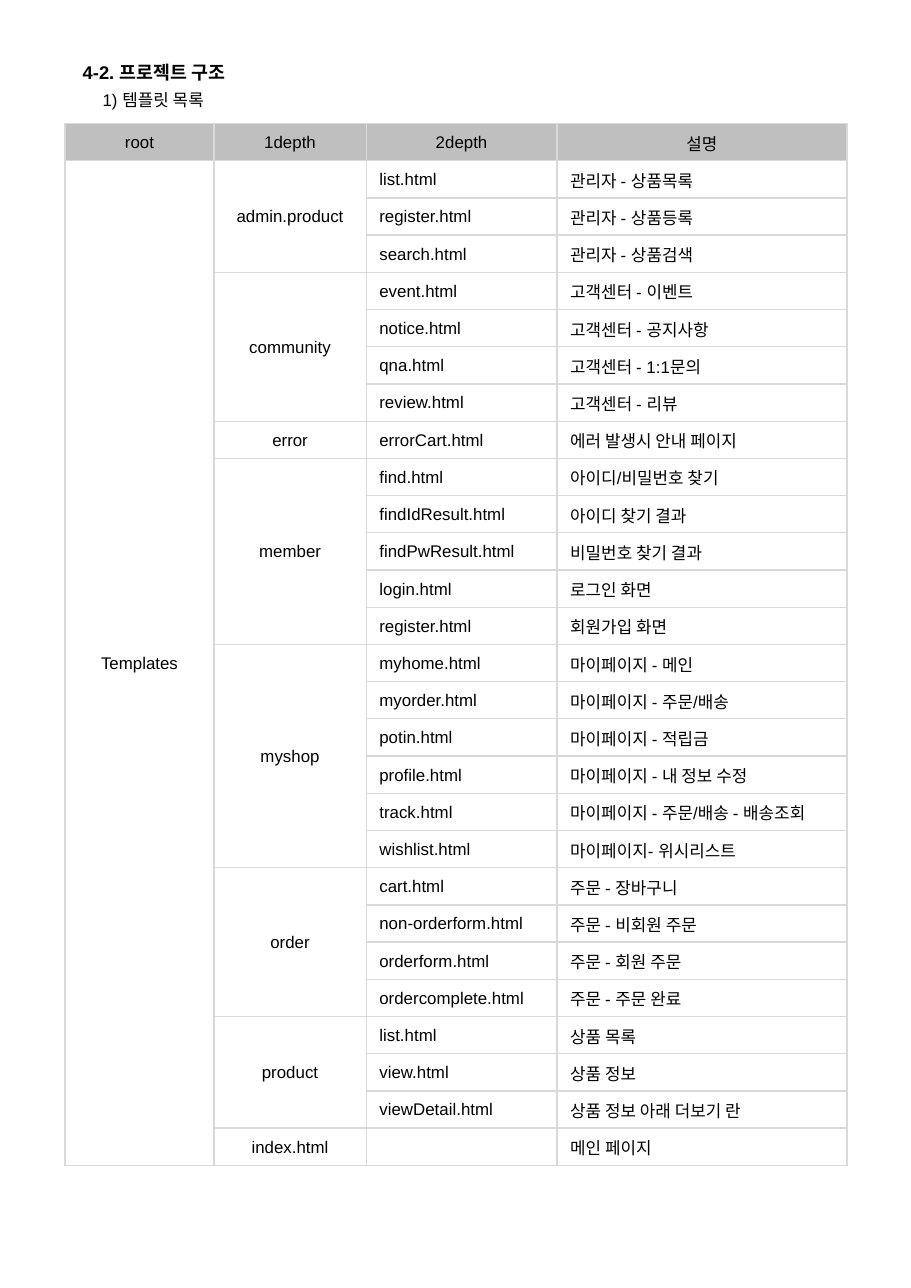
from pptx import Presentation
from pptx.dml.color import RGBColor
from pptx.enum.text import MSO_ANCHOR as ANCHOR, MSO_AUTO_SIZE as AUTO, PP_ALIGN as ALIGN
from pptx.oxml import parse_xml
from pptx.oxml.ns import nsdecls
from pptx.util import Inches, Pt

BLACK = RGBColor(0x00, 0x00, 0x00)
HEADER_GREY = RGBColor(0xBF, 0xBF, 0xBF)
BORDER_GREY = RGBColor(0xD9, 0xD9, 0xD9)

HEADER = ["root", "1depth", "2depth", "설명"]
COL_WIDTHS = [1.35, 1.38, 1.73, 2.63]
ROW_HEIGHT = 9.45 / 28
GROUPS = [
    ("admin.product", [
        ("list.html", "관리자 - 상품목록"),
        ("register.html", "관리자 - 상품등록"),
        ("search.html", "관리자 - 상품검색")]),
    ("community", [
        ("event.html", "고객센터 - 이벤트"),
        ("notice.html", "고객센터 - 공지사항"),
        ("qna.html", "고객센터 - 1:1문의"),
        ("review.html", "고객센터 - 리뷰")]),
    ("error", [("errorCart.html", "에러 발생시 안내 페이지")]),
    ("member", [
        ("find.html", "아이디/비밀번호 찾기"),
        ("findIdResult.html", "아이디 찾기 결과"),
        ("findPwResult.html", "비밀번호 찾기 결과"),
        ("login.html", "로그인 화면"),
        ("register.html", "회원가입 화면")]),
    ("myshop", [
        ("myhome.html", "마이페이지 - 메인"),
        ("myorder.html", "마이페이지 - 주문/배송"),
        ("potin.html", "마이페이지 - 적립금"),
        ("profile.html", "마이페이지 - 내 정보 수정"),
        ("track.html", "마이페이지 - 주문/배송 - 배송조회"),
        ("wishlist.html", "마이페이지- 위시리스트")]),
    ("order", [
        ("cart.html", "주문 - 장바구니"),
        ("non-orderform.html", "주문 - 비회원 주문"),
        ("orderform.html", "주문 - 회원 주문"),
        ("ordercomplete.html", "주문 - 주문 완료")]),
    ("product", [
        ("list.html", "상품 목록"),
        ("view.html", "상품 정보"),
        ("viewDetail.html", "상품 정보 아래 더보기 란")]),
    ("index.html", [("", "메인 페이지")]),
]


def add_run(p, text, size, bold=False):
    r = p.add_run()
    r.text = text
    r.font.name = "Arial"
    r.font.size = Pt(size)
    r.font.bold = bold
    r.font.color.rgb = BLACK


def set_cell(cell, text, align=ALIGN.CENTER):
    p = cell.text_frame.paragraphs[0]
    p.alignment = align
    if text:
        add_run(p, text, 11)


prs = Presentation()
prs.slide_width, prs.slide_height = Inches(8.26), Inches(11.68)
s = prs.slides.add_slide(prs.slide_layouts[1])
title, body = s.placeholders

for sp, text, box, size, bold, spacing in [
    (title, "4-2. 프로젝트 구조", (0.75, 0.56, 3.11, 0.2), 12, True, 13.8),
    (body, "1) 템플릿 목록", (0.93, 0.84, 1.21, 0.15), 11, False, 11.4),
]:
    sp.left, sp.top, sp.width, sp.height = [Inches(v) for v in box]
    tf = sp.text_frame
    tf.margin_left = tf.margin_top = tf.margin_right = tf.margin_bottom = 0
    tf.vertical_anchor = ANCHOR.TOP
    tf.word_wrap = True
    tf.auto_size = AUTO.NONE
    p = tf.paragraphs[0]
    p.alignment = ALIGN.LEFT
    p.line_spacing = Pt(spacing)
    p.space_before = Pt(0)
    add_run(p, text, size, bold)

pPr = body.text_frame.paragraphs[0]._p.get_or_add_pPr()
pPr.set("marL", "0")
pPr.set("indent", "0")
pPr.append(parse_xml(f"<a:buNone {nsdecls('a')}/>"))

row_count = 1 + sum(len(pages) for _, pages in GROUPS)
table = s.shapes.add_table(
    row_count, len(HEADER), Inches(0.59), Inches(1.12),
    Inches(sum(COL_WIDTHS)), Inches(ROW_HEIGHT * row_count)).table
table.first_row = False
table.horz_banding = False
for column, width in zip(table.columns, COL_WIDTHS):
    column.width = Inches(width)

for i, row in enumerate(table.rows):
    row.height = Inches(ROW_HEIGHT)
    for cell in row.cells:
        cell.margin_left = cell.margin_right = Inches(0.12)
        cell.margin_top, cell.margin_bottom = Inches(0.01), 0
        cell.vertical_anchor = ANCHOR.MIDDLE
        tcPr = cell._tc.get_or_add_tcPr()
        for side in ("lnL", "lnR", "lnT", "lnB"):
            tcPr.append(parse_xml(
                f'<a:{side} {nsdecls("a")} w="{Pt(1)}"><a:solidFill>'
                f'<a:srgbClr val="{BORDER_GREY}"/></a:solidFill></a:{side}>'))
        if i == 0:
            cell.fill.solid()
            cell.fill.fore_color.rgb = HEADER_GREY
        else:
            cell.fill.background()

for col, text in enumerate(HEADER):
    set_cell(table.cell(0, col), text)

set_cell(table.cell(1, 0), "Templates")
table.cell(1, 0).merge(table.cell(row_count - 1, 0))

row = 1
for folder, pages in GROUPS:
    set_cell(table.cell(row, 1), folder)
    if len(pages) > 1:
        table.cell(row, 1).merge(table.cell(row + len(pages) - 1, 1))
    for page, description in pages:
        set_cell(table.cell(row, 2), page, ALIGN.LEFT)
        set_cell(table.cell(row, 3), description, ALIGN.LEFT)
        row += 1

prs.save("out.pptx")
